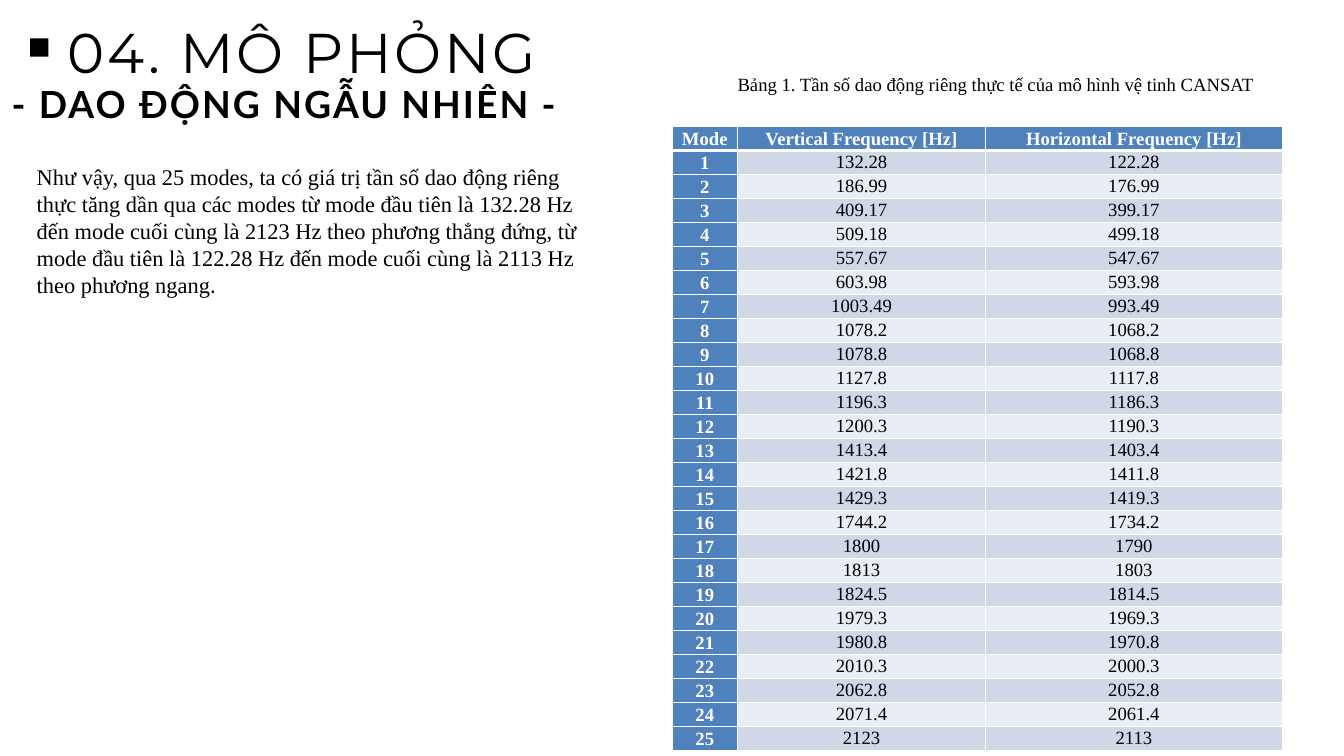
from dataclasses import dataclass

from lxml import etree
from pptx import Presentation
from pptx.dml.color import RGBColor
from pptx.enum.shapes import MSO_SHAPE
from pptx.enum.text import MSO_ANCHOR, MSO_AUTO_SIZE, PP_ALIGN
from pptx.oxml.ns import qn
from pptx.util import Cm, Pt

CENTER, LEFT = PP_ALIGN.CENTER, PP_ALIGN.LEFT
TOP, MIDDLE = MSO_ANCHOR.TOP, MSO_ANCHOR.MIDDLE
GROW = MSO_AUTO_SIZE.SHAPE_TO_FIT_TEXT
SQUARE = MSO_SHAPE.RECTANGLE
TITLE_ONLY, BLANK_MARGIN = 5, 0
SERIF = "Times New Roman"

COLORS = {
    "ink": "000000",
    "paper": "FFFFFF",
    "header": "4F81BD",
    "odd_row": "D0D8E8",
    "even_row": "E9EDF4",
}

HEADERS = ["Mode", "Vertical Frequency [Hz]", "Horizontal Frequency [Hz]"]
VERTICAL = [
    132.28, 186.99, 409.17, 509.18, 557.67, 603.98, 1003.49, 1078.2, 1078.8,
    1127.8, 1196.3, 1200.3, 1413.4, 1421.8, 1429.3, 1744.2, 1800, 1813,
    1824.5, 1979.3, 1980.8, 2010.3, 2062.8, 2071.4, 2123,
]
HORIZONTAL_SHIFT = -10
COLUMN_WIDTHS = [2.48, 9.37, 11.22]
ROW_HEIGHT = 0.79
SUMMARY = (
    "Như vậy, qua 25 modes, ta có giá trị tần số dao động riêng thực tăng dần "
    "qua các modes từ mode đầu tiên là 132.28 Hz đến mode cuối cùng là 2123 Hz "
    "theo phương thẳng đứng, từ mode đầu tiên là 122.28 Hz đến mode cuối cùng "
    "là 2113 Hz theo phương ngang"
)


@dataclass
class Box:
    """A rectangle in centimetres."""

    left: float
    top: float
    width: float
    height: float

    def inner(self, left, top, width, height):
        """Return a box placed relative to this one."""
        return Box(self.left + left, self.top + top, width, height)

    def lengths(self):
        """Return left, top, width and height as lengths."""
        return Cm(self.left), Cm(self.top), Cm(self.width), Cm(self.height)


def color(name):
    """Look up a named colour."""
    return RGBColor.from_string(COLORS[name])


def write(para, text, font=SERIF, size=20, ink="ink", bold=False, tracking=0,
          align=CENTER, spacing=None, after=None):
    """Add formatted text to a paragraph."""
    para.alignment = align
    if spacing is not None:
        para.line_spacing = spacing
    if after is not None:
        para.space_after = Pt(after)
    span = para.add_run()
    span.text = text
    span.font.name = font
    span.font.size = Pt(size)
    span.font.bold = bold
    span.font.color.rgb = color(ink)
    if tracking:
        span.font._element.set("spc", str(round(tracking * 100)))


def prepare_frame(shape, anchor=TOP, margin=None):
    """Set wrapping, growth, anchor and margins, and return the first paragraph."""
    frame = shape.text_frame
    frame.word_wrap = True
    frame.auto_size = GROW
    frame.vertical_anchor = anchor
    if margin is not None:
        frame.margin_left = frame.margin_right = margin
        frame.margin_top = frame.margin_bottom = margin
    return frame.paragraphs[0]


def add_heading(page, box):
    """Place the title, its square marker and the subtitle."""
    title = page.shapes.title
    title.left, title.top, title.width, title.height = box.inner(0.06, 0, 22.12, 2.79).lengths()
    write(prepare_frame(title, margin=BLANK_MARGIN), "04. MÔ PHỎNG",
          font="Montserrat", size=60, tracking=3, spacing=Pt(84))

    marker = page.shapes.add_shape(SQUARE, *box.inner(0.84, 1.22, 0.69, 0.69).lengths())
    marker.shadow.inherit = False
    marker.fill.solid()
    marker.fill.fore_color.rgb = color("ink")
    marker.line.fill.background()

    subtitle = page.shapes.add_textbox(*box.inner(0, 2.82, 20.96, 1.7).lengths())
    write(prepare_frame(subtitle, MIDDLE, BLANK_MARGIN), "- DAO ĐỘNG NGẪU NHIÊN - ",
          font="Lato", size=40, bold=True, tracking=2.3)


def add_summary(page, box):
    """Place the paragraph that sums up the results."""
    para = prepare_frame(page.shapes.add_textbox(*box.lengths()))
    write(para, SUMMARY, size=24, align=LEFT)
    write(para, ".", font="Calibri", size=24, align=LEFT)


def add_border(cell, side, width):
    """Draw one white cell border of a width in points."""
    line = etree.SubElement(cell._tc.get_or_add_tcPr(), qn(f"a:ln{side}"), w=str(Pt(width)))
    fill = etree.SubElement(line, qn("a:solidFill"))
    etree.SubElement(fill, qn("a:srgbClr"), val=COLORS["paper"])


def format_cell(cell, text, row, column):
    """Fill one table cell according to its row and column."""
    heading = row == 0 or column == 0
    widths = {"L": 1, "R": 1, "T": 3 if row == 1 else 1, "B": 3 if row == 0 else 1}
    for side, width in widths.items():
        add_border(cell, side, width)
    cell.fill.solid()
    cell.fill.fore_color.rgb = color(
        "header" if heading else "odd_row" if row % 2 else "even_row")
    cell.margin_left = cell.margin_right = Cm(0.15)
    cell.margin_top = cell.margin_bottom = 0
    cell.vertical_anchor = MIDDLE if heading else TOP
    write(cell.text_frame.paragraphs[0], text, bold=heading,
          ink="paper" if heading else "ink", spacing=1.07, after=8)


def add_frequencies(page, box):
    """Place the table of frequencies and its caption."""
    rows = [HEADERS] + [
        [str(mode), f"{value:g}", f"{value + HORIZONTAL_SHIFT:g}"]
        for mode, value in enumerate(VERTICAL, 1)
    ]
    area = box.inner(0.58, 2.39, sum(COLUMN_WIDTHS), ROW_HEIGHT * len(rows))
    table = page.shapes.add_table(len(rows), len(HEADERS), *area.lengths()).table
    for column, width in zip(table.columns, COLUMN_WIDTHS):
        column.width = Cm(width)
    for row, texts in enumerate(rows):
        table.rows[row].height = Cm(ROW_HEIGHT)
        for column, text in enumerate(texts):
            format_cell(table.cell(row, column), text, row, column)

    caption = page.shapes.add_textbox(*box.inner(0, 0, 25.63, 1.24).lengths())
    write(prepare_frame(caption),
          "Bảng 1. Tần số dao động riêng thực tế của mô hình vệ tinh CANSAT", spacing=1.3)


def main():
    """Build the deck and save it."""
    deck = Presentation()
    deck.slide_width, deck.slide_height = Cm(50.8), Cm(28.58)
    page = deck.slides.add_slide(deck.slide_layouts[TITLE_ONLY])
    add_heading(page, Box(0.3, 0.23, 22.18, 4.52))
    add_frequencies(page, Box(24.82, 2.39, 25.63, 24.35))
    add_summary(page, Box(1.14, 6.05, 20.96, 5.38))
    deck.save("out.pptx")


if __name__ == "__main__":
    main()
